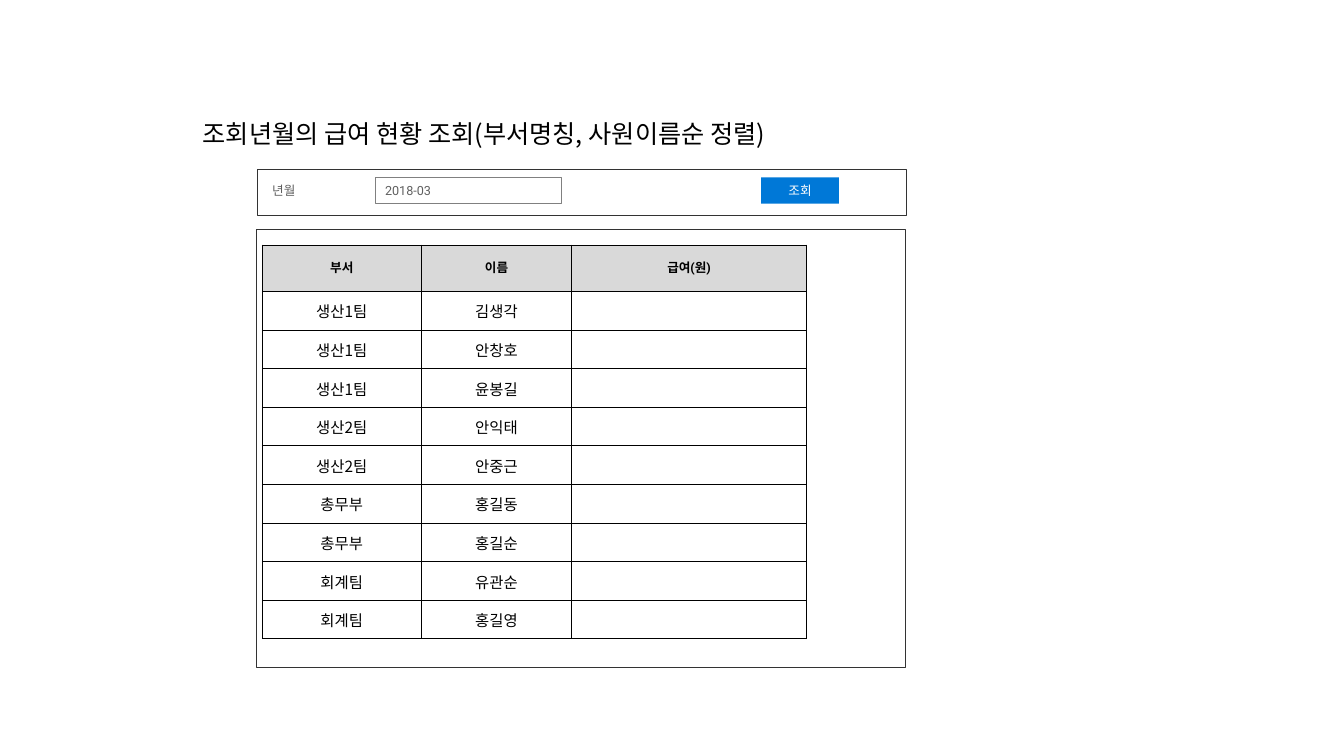
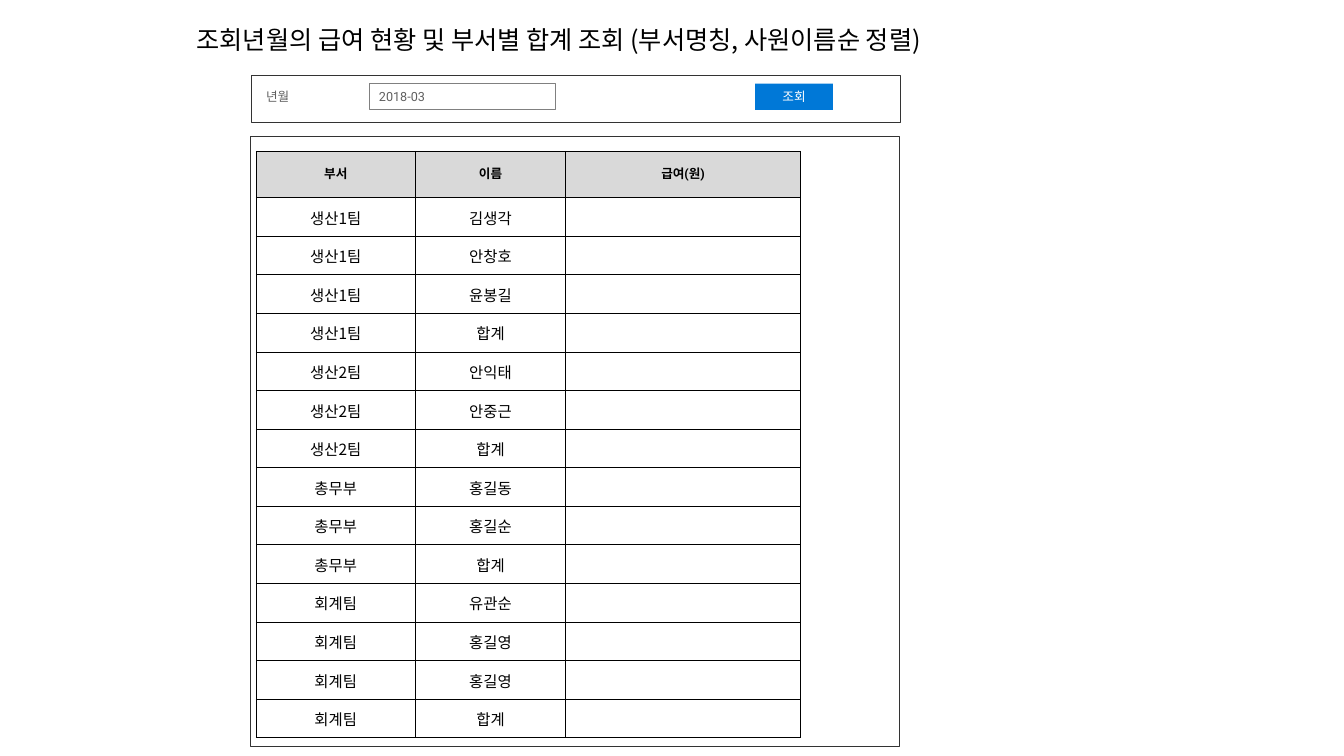
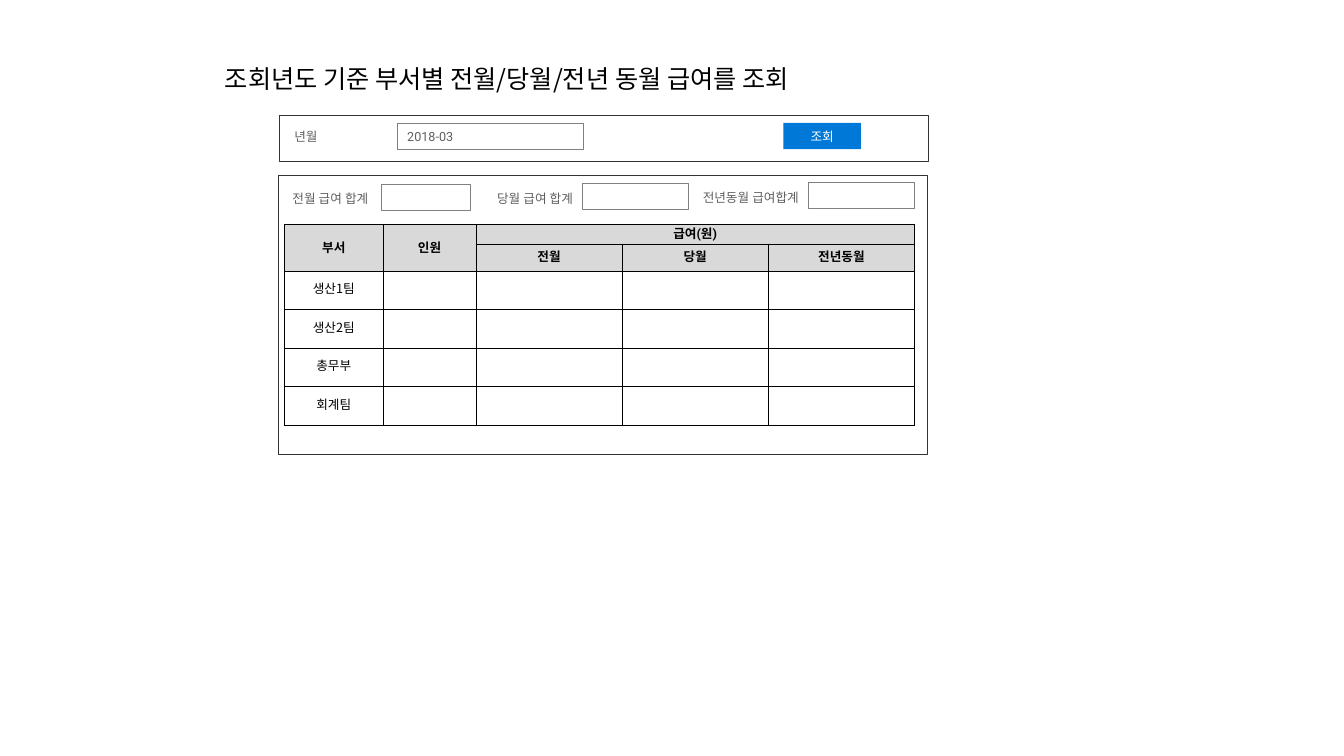
from lxml import etree
from pptx import Presentation
from pptx.dml.color import RGBColor
from pptx.enum.shapes import MSO_SHAPE as Preset
from pptx.enum.text import MSO_ANCHOR as Anchor, MSO_AUTO_SIZE as AutoSize, PP_ALIGN as Align
from pptx.oxml.ns import qn
from pptx.util import Inches, Pt

WHITE = RGBColor(0xFF, 0xFF, 0xFF)
BLACK = RGBColor(0x00, 0x00, 0x00)
FRAME_GREY = RGBColor(0x33, 0x33, 0x33)
FIELD_GREY = RGBColor(0x80, 0x80, 0x80)
LABEL_GREY = RGBColor(0x5F, 0x5F, 0x5F)
HEADER_GREY = RGBColor(0xD9, 0xD9, 0xD9)
BUTTON_BLUE = RGBColor(0x00, 0x78, 0xD7)

KOREAN_FONT = "Noto Sans CJK KR"
FORM_FONT = "Roboto"
LINE_WIDTH = 0.5
BAR_WIDTH, BAR_HEIGHT = 6.44, 0.46
FIELD_HEIGHT = 0.26
HEADER_HEIGHT = 0.46

LIST_HEADERS = ["부서", "이름", "급여(원)"]
LIST_COLUMNS = [1.58, 1.49, 2.33]
TEAMS = {
    "생산1팀": ["김생각", "안창호", "윤봉길"],
    "생산2팀": ["안익태", "안중근"],
    "총무부": ["홍길동", "홍길순"],
    "회계팀": ["유관순", "홍길영"],
}


def write_text(frame, text, size=9, font=FORM_FONT, color=LABEL_GREY, bold=False,
               align=Align.LEFT, anchor=Anchor.MIDDLE, insets=(0.1, 0.05), wrap=True):
    frame.word_wrap = wrap
    frame.vertical_anchor = anchor
    frame.margin_left = frame.margin_right = Inches(insets[0])
    frame.margin_top = frame.margin_bottom = Inches(insets[1])
    write_paragraph(frame.paragraphs[0], text, size, font, color, bold, align)


def write_paragraph(paragraph, text, size, font, color, bold, align):
    paragraph.alignment = align
    run = paragraph.add_run()
    run.text = text
    run.font.size = Pt(size)
    run.font.bold = bold
    run.font.color.rgb = color
    run.font.name = font
    latin = run.font._element.find(qn("a:latin"))
    east_asian = etree.Element(qn("a:ea"), typeface=font)
    latin.addnext(east_asian)


def add_box(slide, left, top, width, height, fill=WHITE, line=None):
    box = slide.shapes.add_shape(Preset.RECTANGLE, Inches(left), Inches(top),
                                 Inches(width), Inches(height))
    box.shadow.inherit = False
    box.fill.solid()
    box.fill.fore_color.rgb = fill
    if line is None:
        box.line.fill.background()
    else:
        box.line.color.rgb = line
        box.line.width = Pt(LINE_WIDTH)
    return box


def add_label(slide, text, left, top, width):
    label = slide.shapes.add_textbox(Inches(left), Inches(top), Inches(width), Inches(FIELD_HEIGHT))
    write_text(label.text_frame, text, insets=(0.08, 0.06))


def add_field(slide, left, top, width):
    return add_box(slide, left, top, width, FIELD_HEIGHT, line=FIELD_GREY)


def place_title(slide, text, left, top):
    title = slide.shapes.title
    title.left, title.top = Inches(left), Inches(top)
    title.width, title.height = Inches(8.33), Inches(0.4)
    title.text_frame.auto_size = AutoSize.NONE
    write_text(title.text_frame, text, size=18, font=KOREAN_FONT, color=BLACK, anchor=Anchor.TOP)


def add_search_bar(slide, left, top):
    add_box(slide, left, top, BAR_WIDTH, BAR_HEIGHT, line=FRAME_GREY)
    field_top = top + 0.08
    month = add_field(slide, left + 1.17, field_top, 1.85)
    write_text(month.text_frame, "2018-03", insets=(0.1, 0.06))
    add_label(slide, "년월", left + 0.07, field_top, 1.1)
    button = add_box(slide, left + 5, field_top, 0.77, FIELD_HEIGHT, fill=BUTTON_BLUE)
    write_text(button.text_frame, "조회", color=WHITE, align=Align.CENTER, wrap=False)


def add_screen(presentation, title, left, top, panel_height):
    """Add a slide whose search bar is at left, top; return it with its panel's corner."""
    slide = presentation.slides.add_slide(presentation.slide_layouts[5])
    place_title(slide, title, left - 0.64, top - 0.56)
    panel_left, panel_top = left - 0.01, top + 0.6
    add_box(slide, panel_left, panel_top, BAR_WIDTH, panel_height, line=FRAME_GREY)
    add_search_bar(slide, left, top)
    return slide, panel_left, panel_top


def set_borders(cell):
    properties = cell._tc.get_or_add_tcPr()
    for side in ("lnL", "lnR", "lnT", "lnB"):
        border = etree.SubElement(properties, qn(f"a:{side}"), w=str(Pt(LINE_WIDTH)))
        fill = etree.SubElement(border, qn("a:solidFill"))
        etree.SubElement(fill, qn("a:srgbClr"), val=str(BLACK))


def fill_cell(cell, text, header, size, font, bottom):
    set_borders(cell)
    cell.fill.solid()
    cell.fill.fore_color.rgb = HEADER_GREY if header else WHITE
    cell.vertical_anchor = Anchor.MIDDLE
    inset = Inches(0 if header else 0.01)
    cell.margin_left = cell.margin_right = cell.margin_top = inset
    cell.margin_bottom = Inches(0 if header else bottom)
    paragraph = cell.text_frame.paragraphs[0]
    if text:
        write_paragraph(paragraph, text, 9 if header else size, FORM_FONT if header else font,
                        BLACK, header, Align.CENTER)
    else:
        paragraph._p.get_or_add_endParaRPr().set("sz", str(size * 100))


def add_grid(slide, rows, left, top, columns, height, header_heights, size=11, bottom=0):
    header_count = len(header_heights)
    body_height = (height - sum(header_heights)) / (len(rows) - header_count)
    heights = header_heights + [body_height] * (len(rows) - header_count)
    table = slide.shapes.add_table(len(rows), len(columns), Inches(left), Inches(top),
                                   Inches(sum(columns)), Inches(height)).table
    table.first_row = table.horz_banding = False
    for column, width in zip(table.columns, columns):
        column.width = Inches(width)
    for index, (texts, row_height) in enumerate(zip(rows, heights)):
        table.rows[index].height = Inches(row_height)
        for cell, text in zip(table.rows[index].cells, texts):
            fill_cell(cell, text, index < header_count, size, KOREAN_FONT, bottom)
    return table


def add_list_screen(presentation, title, left, top, panel_height, table_height, members):
    slide, panel_left, panel_top = add_screen(presentation, title, left, top, panel_height)
    rows = [LIST_HEADERS] + [[team, name, ""] for team, name in members]
    add_grid(slide, rows, panel_left + 0.06, panel_top + 0.15, LIST_COLUMNS,
             table_height, [HEADER_HEIGHT])


def add_comparison_screen(presentation, title, left, top):
    slide, panel_left, panel_top = add_screen(presentation, title, left, top, 2.77)
    totals = [
        ("전월 급여 합계", 0.06, 0.1, 1.02, 0.09, 0.89),
        ("당월 급여 합계", 2.09, 0.1, 3.02, 0.08, 1.05),
        ("전년동월 급여합계", 4.13, 0.09, 5.26, 0.07, 1.05),
    ]
    for text, label_x, label_y, field_x, field_y, field_width in totals:
        add_field(slide, panel_left + field_x, panel_top + field_y, field_width)
        add_label(slide, text, panel_left + label_x, panel_top + label_y, 1.21)
    rows = [["부서", "인원", "급여(원)", "", ""], ["", "", "전월", "당월", "전년동월"]]
    rows += [[team, "", "", "", ""] for team in TEAMS]
    table = add_grid(slide, rows, panel_left + 0.06, panel_top + 0.49,
                     [0.98, 0.92, 1.45, 1.45, 1.45], 1.99, [0.19, 0.27], size=9, bottom=0.05)
    for column in (0, 1):
        table.cell(0, column).merge(table.cell(1, column))
    table.cell(0, 2).merge(table.cell(0, 4))


def main():
    presentation = Presentation()
    presentation.slide_width, presentation.slide_height = Inches(13.33), Inches(7.5)

    members = [(team, name) for team, names in TEAMS.items() for name in names]
    add_list_screen(presentation, "조회년월의 급여 현황 조회(부서명칭, 사원이름순 정렬)",
                    2.55, 1.68, 4.34, 3.91, members)

    names_with_totals = {**TEAMS, "회계팀": TEAMS["회계팀"] + ["홍길영"]}
    members_with_totals = [(team, name) for team, names in names_with_totals.items()
                           for name in names + ["합계"]]
    add_list_screen(presentation, "조회년월의 급여 현황 및 부서별 합계 조회 (부서명칭, 사원이름순 정렬)",
                    2.49, 0.75, 6.06, 5.82, members_with_totals)

    add_comparison_screen(presentation, "조회년도 기준 부서별 전월/당월/전년 동월 급여를 조회", 2.77, 1.14)
    presentation.save("out.pptx")


if __name__ == "__main__":
    main()
